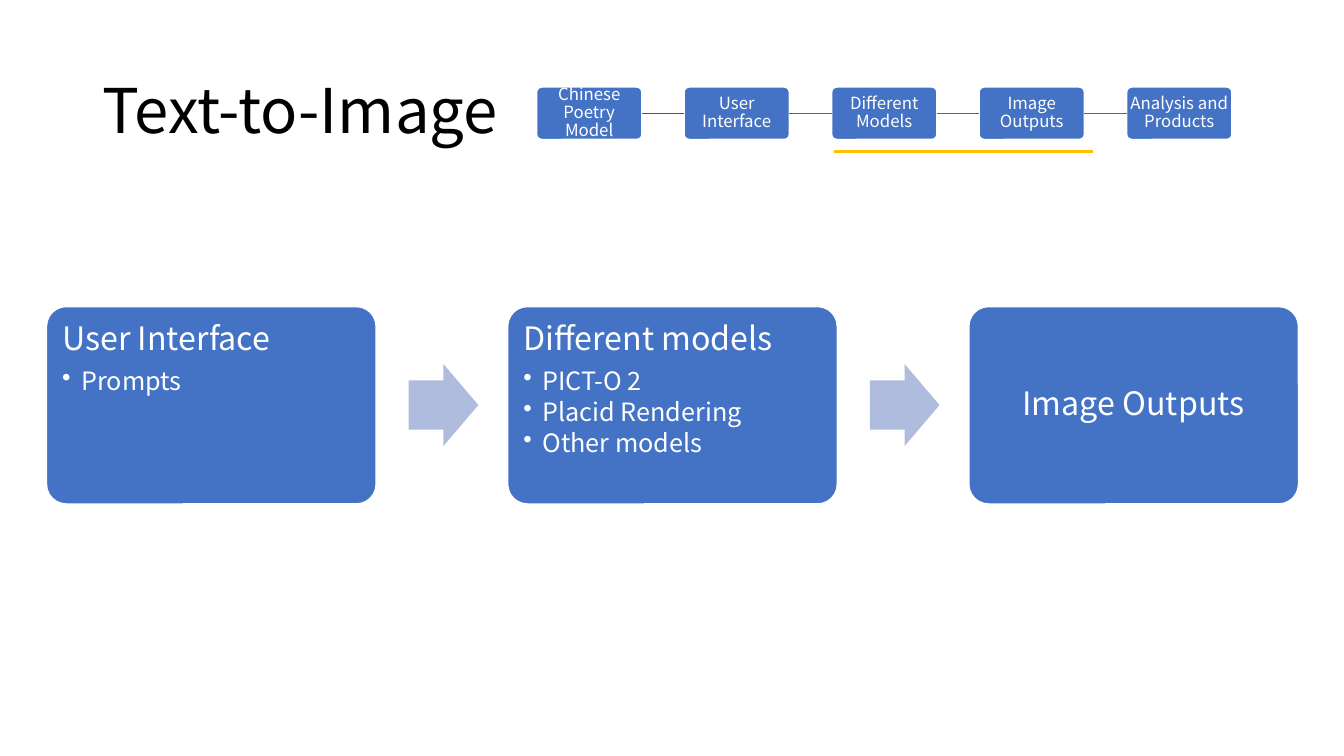
from dataclasses import dataclass
from itertools import pairwise

from lxml import etree
from pptx import Presentation
from pptx import util as u
from pptx.dml.color import RGBColor
from pptx.enum import shapes, text
from pptx.oxml import ns


@dataclass(frozen=True)
class Theme:
    font: str = "Noto Sans CJK SC"
    ink: str = "000000"
    paper: str = "FFFFFF"
    box: str = "4472C4"
    first_link: str = "365B9D"
    link: str = "3E67B2"
    arrow: str = "B0BCDE"
    accent: str = "FFC000"
    title_pt: int = 44
    card_pt: int = 23
    bullet_pt: int = 18
    step_pt: int = 12
    line_spacing: float = 0.9
    heading_gap: float = 0.35
    bullet_gap: float = 0.15


@dataclass(frozen=True)
class Area:
    col: float
    row: float
    cols: float
    rows: float

    def shifted(self, cols: float) -> "Area":
        return Area(self.col + cols, self.row, self.cols, self.rows)

    def emu(self) -> tuple[int, int, int, int]:
        return x(self.col), y(self.row), x(self.cols), y(self.rows)


@dataclass(frozen=True)
class Card:
    heading: str
    bullets: tuple[str, ...] = ()


THEME = Theme()
WIDTH, HEIGHT = u.Inches(13.33), u.Inches(7.5)
COLUMNS, ROWS = 160, 90

TITLE = Area(11, 4.8, 138, 17.4)
STEP = Area(63.88, 10.36, 12.54, 6.24)
STEP_PITCH = 17.56
CARD = Area(5.54, 36.5, 39.24, 23.5)
CARD_PITCH = 54.9
ARROW = Area(48.65, 43.35, 8.3, 9.74)
UNDERLINE = Area(99.26, 18.02, 30.84, 0)

STEPS = (
    "Chinese Poetry Model",
    "User Interface",
    "Different Models",
    "Image Outputs",
    "Analysis and Products",
)
CARDS = (
    Card("User Interface", ("Prompts",)),
    Card("Different models", ("PICT-O 2", "Placid Rendering", "Other models")),
    Card("Image Outputs"),
)


def x(cols: float) -> int:
    return round(WIDTH * cols / COLUMNS)


def y(rows: float) -> int:
    return round(HEIGHT * rows / ROWS)


def rgb(colour: str) -> RGBColor:
    return RGBColor.from_string(colour)


def add_run(p, words: str, size: int, colour: str = THEME.paper) -> None:
    r = p.add_run()
    r.text = words
    r.font.name = THEME.font
    r.font.size = u.Pt(size)
    r.font.color.rgb = rgb(colour)
    p.line_spacing = THEME.line_spacing


def add_heading(tf, words: str, size: int, centred: bool) -> None:
    p = tf.paragraphs[0]
    p.alignment = text.PP_ALIGN.CENTER if centred else text.PP_ALIGN.LEFT
    p.space_after = u.Pt(size * THEME.heading_gap)
    add_run(p, words, size)


def add_bullet(tf, words: str) -> None:
    p = tf.add_paragraph()
    p.level = 1
    p.alignment = text.PP_ALIGN.LEFT
    p.space_after = u.Pt(THEME.bullet_pt * THEME.bullet_gap)
    add_run(p, words, THEME.bullet_pt)
    props = p._p.get_or_add_pPr()
    indent = u.Inches(0.19)
    props.set("marL", str(indent))
    props.set("indent", str(-indent))
    etree.SubElement(props, ns.qn("a:buChar")).set("char", "•")


def add_box(s, area: Area, inset: float, middle: bool):
    sp = s.shapes.add_shape(shapes.MSO_SHAPE.ROUNDED_RECTANGLE, *area.emu())
    sp.adjustments[0] = 0.1
    sp.shadow.inherit = False
    sp.fill.solid()
    sp.fill.fore_color.rgb = rgb(THEME.box)
    sp.line.color.rgb = rgb(THEME.paper)
    sp.line.width = u.Pt(1)
    tf = sp.text_frame
    tf.word_wrap = True
    tf.margin_left = tf.margin_right = u.Inches(inset)
    tf.margin_top = tf.margin_bottom = u.Inches(inset)
    tf.vertical_anchor = text.MSO_ANCHOR.MIDDLE if middle else text.MSO_ANCHOR.TOP
    return sp


def add_step(s, index: int, words: str):
    sp = add_box(s, STEP.shifted(index * STEP_PITCH), 0.01, True)
    add_heading(sp.text_frame, words, THEME.step_pt, True)
    return sp


def add_card(s, index: int, card: Card) -> None:
    plain = not card.bullets
    sp = add_box(s, CARD.shifted(index * CARD_PITCH), 0.1, plain)
    add_heading(sp.text_frame, card.heading, THEME.card_pt, plain)
    for words in card.bullets:
        add_bullet(sp.text_frame, words)


def add_arrow(s, index: int) -> None:
    area = ARROW.shifted(index * CARD_PITCH)
    sp = s.shapes.add_shape(shapes.MSO_SHAPE.RIGHT_ARROW, *area.emu())
    sp.adjustments[0] = 0.6
    sp.adjustments[1] = 0.5
    sp.shadow.inherit = False
    sp.fill.solid()
    sp.fill.fore_color.rgb = rgb(THEME.arrow)
    sp.line.fill.background()


def add_line(s, area: Area, colour: str, width: float):
    left, top, across, down = area.emu()
    line = s.shapes.add_connector(
        shapes.MSO_CONNECTOR.STRAIGHT, left, top, left + across, top + down
    )
    line.line.color.rgb = rgb(colour)
    line.line.width = u.Pt(width)
    etree.SubElement(line._element.spPr, ns.qn("a:effectLst"))
    return line


def add_title(s) -> None:
    tf = s.shapes.add_textbox(*TITLE.emu()).text_frame
    tf.word_wrap = True
    tf.vertical_anchor = text.MSO_ANCHOR.MIDDLE
    add_run(tf.paragraphs[0], "Text-to-Image", THEME.title_pt, THEME.ink)


def main() -> None:
    prs = Presentation()
    prs.slide_width, prs.slide_height = WIDTH, HEIGHT
    s = prs.slides.add_slide(prs.slide_layouts[6])
    add_title(s)
    steps = [add_step(s, i, words) for i, words in enumerate(STEPS)]
    for i, (before, after) in enumerate(pairwise(steps)):
        link = add_line(s, STEP, THEME.link if i else THEME.first_link, 1)
        link.begin_connect(before, 3)
        link.end_connect(after, 1)
    for i, card in enumerate(CARDS):
        add_card(s, i, card)
    for i in range(len(CARDS) - 1):
        add_arrow(s, i)
    add_line(s, UNDERLINE, THEME.accent, 2)
    prs.save("out.pptx")


if __name__ == "__main__":
    main()
